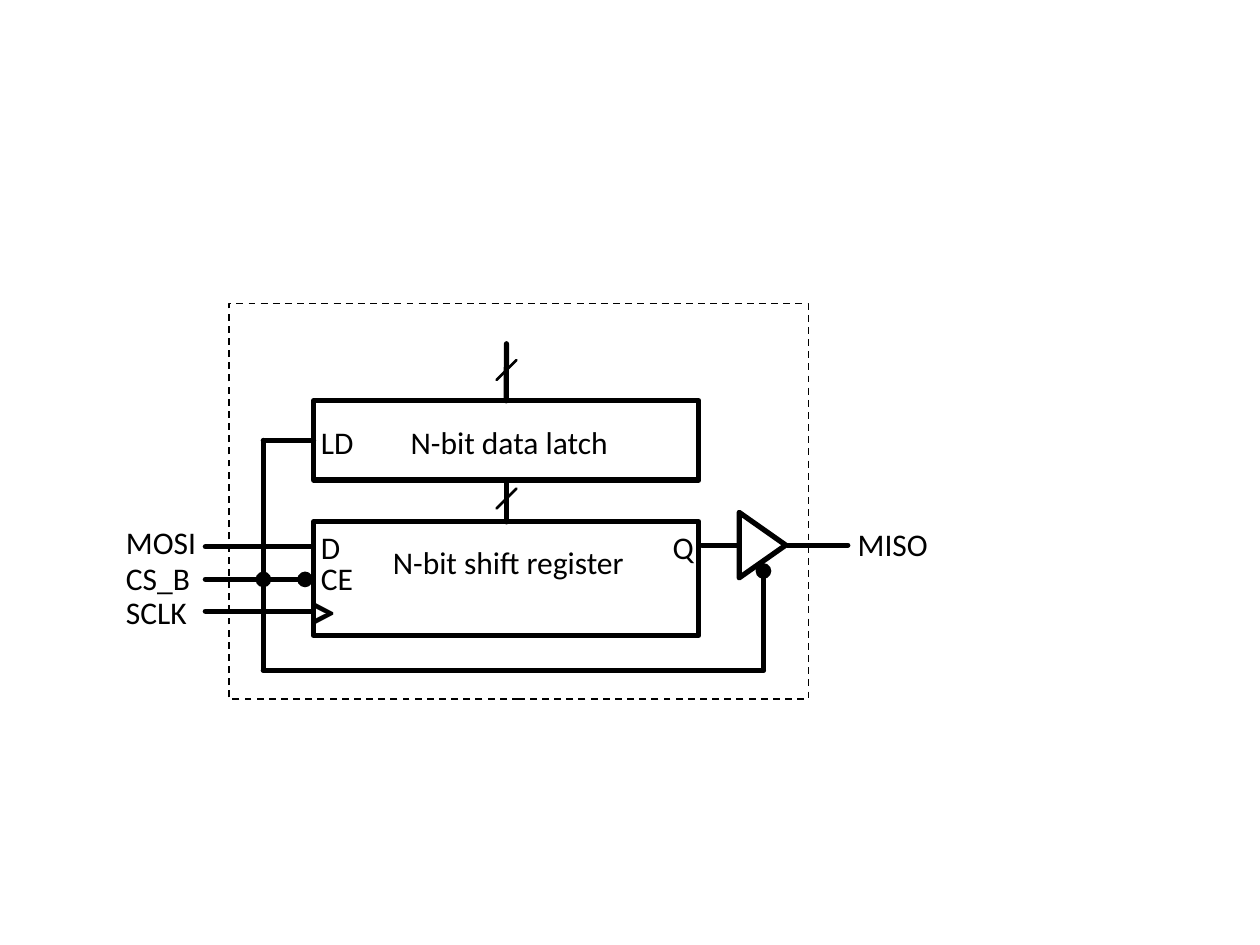
from lxml import etree
from pptx import Presentation, util as u
from pptx.dml.color import RGBColor
from pptx.enum import dml, shapes, text
from pptx.oxml.ns import qn

THEME = {
    "ink": RGBColor(0, 0, 0),
    "font": "Calibri",
    "label": 18,
    "clock": 28,
    "wire": 3,
    "tick": 1.5,
    "border": 1,
}

LATCH = (6.32, 8.08, 7.77, 1.6)
REGISTER = (6.32, 10.52, 7.77, 2.29)
BUFFER = (14.71, 10.52, 1.32, 0.94)
BORDER = (4.62, 6.12, 11.68, 7.98)

BUS_X = 10.21
NET_X, NET_BOTTOM = 5.31, 13.51
ENABLE_X = 15.39
PIN_X, SIDE_X = 4.14, 6.3
MOSI_Y, CS_Y, SCLK_Y = 11.02, 11.68, 12.32
OUT_Y = 10.99

LABELS = [
    ("LD", 6.22, 8.41, 1.17),
    ("N-bit data latch", 8.03, 8.41, 4.52),
    ("N-bit shift register", 7.67, 10.82, 5.23),
    ("D", 6.22, 10.52, 0.91),
    ("CE", 6.22, 11.15, 1.17),
    ("Q", 13.31, 10.52, 0.94),
    ("MOSI", 2.29, 10.41, 1.93),
    ("CS_B", 2.29, 11.15, 1.83),
    ("SCLK", 2.29, 11.84, 1.75),
    ("MISO", 17.04, 10.46, 1.93),
]

WIRES = [
    ((SIDE_X, MOSI_Y), (PIN_X, MOSI_Y), False),
    ((6.15, CS_Y), (PIN_X, CS_Y), True),
    ((SIDE_X, SCLK_Y), (PIN_X, SCLK_Y), False),
    ((17.09, OUT_Y), (15.88, OUT_Y), False),
    ((14.88, OUT_Y), (14.15, OUT_Y), False),
    ((ENABLE_X, NET_BOTTOM), (NET_X, NET_BOTTOM), False),
    ((NET_X, CS_Y), (NET_X, NET_BOTTOM), True),
    ((ENABLE_X, 11.51), (ENABLE_X, NET_BOTTOM), True),
    ((NET_X, 8.88), (NET_X, CS_Y), False),
]

TICK_CENTRES = (7.46, 10.05)
TICK_REACH = 0.2


def style_line(line, width):
    line.color.rgb = THEME["ink"]
    line.width = u.Pt(width)


def add_outline(slide, kind, box, width=THEME["wire"]):
    shape = slide.shapes.add_shape(kind, *map(u.Cm, box))
    shape.shadow.inherit = False
    shape.fill.background()
    style_line(shape.line, width)
    return shape


def add_wire(slide, start, end, dot=False, width=THEME["wire"]):
    wire = slide.shapes.add_connector(
        shapes.MSO_CONNECTOR.STRAIGHT, *map(u.Cm, start + end))
    style_line(wire.line, width)
    properties = wire._element.spPr
    outline = properties.find(qn("a:ln"))
    outline.set("cap", "rnd")
    if dot:
        etree.SubElement(outline, qn("a:headEnd")).set("type", "oval")
    etree.SubElement(properties, qn("a:effectLst"))
    return wire


def add_label(slide, words, left, top, width, height=1.02, size=THEME["label"], bold=False):
    label = slide.shapes.add_textbox(*map(u.Cm, (left, top, width, height)))
    frame = label.text_frame
    frame.word_wrap = False
    frame.auto_size = text.MSO_AUTO_SIZE.SHAPE_TO_FIT_TEXT
    paragraph = frame.paragraphs[0]
    paragraph.text = words
    font = paragraph.font
    font.name, font.size, font.bold = THEME["font"], u.Pt(size), bold
    font.color.rgb = THEME["ink"]


def main():
    presentation = Presentation()
    presentation.slide_width, presentation.slide_height = u.Cm(25.4), u.Cm(19.05)
    slide = presentation.slides.add_slide(presentation.slide_layouts[6])

    rectangle = shapes.MSO_SHAPE.RECTANGLE
    register = add_outline(slide, rectangle, REGISTER)
    latch = add_outline(slide, rectangle, LATCH)
    buffer = add_outline(slide, shapes.MSO_SHAPE.ISOSCELES_TRIANGLE, BUFFER)
    buffer.rotation = 90

    for start, end, dot in WIRES:
        add_wire(slide, start, end, dot)
    latch_top, latch_bottom = LATCH[1], LATCH[1] + LATCH[3]
    bus_in = add_wire(slide, (BUS_X, 6.93), (BUS_X, latch_top))
    bus_in.end_connect(latch, 0)
    bus_between = add_wire(slide, (BUS_X, latch_bottom), (BUS_X, REGISTER[1]))
    bus_between.begin_connect(latch, 2)
    bus_between.end_connect(register, 0)
    load = add_wire(slide, (LATCH[0], 8.88), (NET_X, 8.88))
    load.begin_connect(latch, 1)

    for y in TICK_CENTRES:
        add_wire(slide, (BUS_X + TICK_REACH, y - TICK_REACH),
                 (BUS_X - TICK_REACH, y + TICK_REACH), width=THEME["tick"])

    for label in LABELS:
        add_label(slide, *label)
    add_label(slide, ">", 6.02, 11.58, 1.02, 1.45, THEME["clock"], True)

    border = add_outline(slide, rectangle, BORDER, THEME["border"])
    border.line.dash_style = dml.MSO_LINE.DASH

    presentation.save("out.pptx")


if __name__ == "__main__":
    main()
